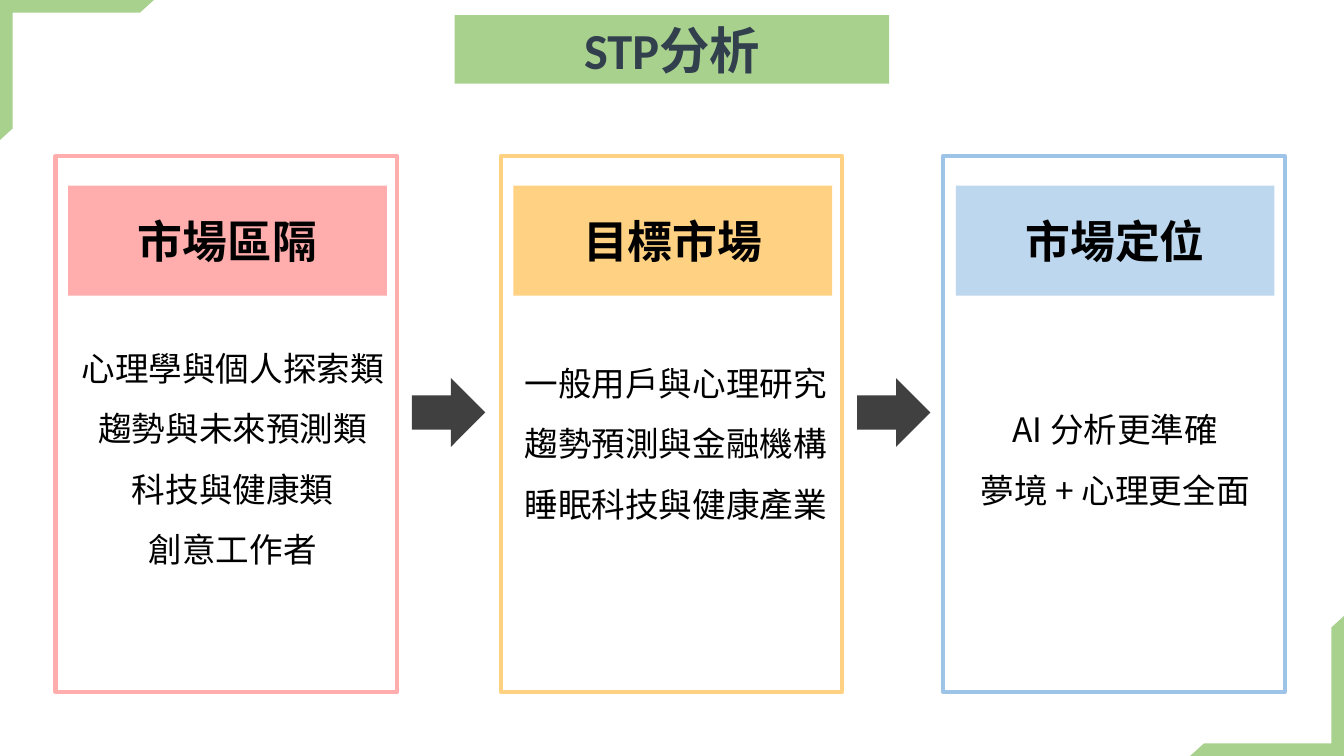
import pptx
import pptx.dml.color
import pptx.enum.shapes
import pptx.enum.text
import pptx.oxml
import pptx.oxml.ns
import pptx.util

Cm = pptx.util.Cm
SHAPE = pptx.enum.shapes.MSO_SHAPE
ANCHOR = pptx.enum.text.MSO_ANCHOR
AUTO_SIZE = pptx.enum.text.MSO_AUTO_SIZE

COLORS = {
    "green": "A9D18E",
    "slate": "32404E",
    "pink": "FFADAD",
    "orange": "FFD283",
    "blue": "9DC3E6",
    "pale_blue": "BDD7EE",
    "gray": "404040",
    "black": "000000",
}

PANELS = [
    (1.4, "pink", "pink", "市場區隔", (1.7, 8.13, 8.33, 6.22),
     ["心理學與個人探索類趨勢與未來預測類", "科技與健康類", "創意工作者"]),
    (12.62, "orange", "orange", "目標市場", (12.93, 8.51, 8.2, 4.7),
     ["一般用戶與心理研究", "趨勢預測與金融機構", "睡眠科技與健康產業"]),
    (23.77, "blue", "pale_blue", "市場定位", (24.18, 9.68, 7.85, 3.15),
     ["AI 分析更準確", "夢境 + 心理更全面"]),
]


class Deck:
    cjk = "Noto Sans CJK SC"

    def __init__(self, prs):
        self.s = prs.slides.add_slide(prs.slide_layouts[5])

    def color(self, name):
        return pptx.dml.color.RGBColor.from_string(COLORS[name])

    def paint(self, sp, name):
        sp.fill.solid()
        sp.fill.fore_color.rgb = self.color(name)

    def set_text(self, tf, lines, size, color="black", font=cjk, bold=False, spacing=None):
        tf.text = "\n".join(lines)
        tf.word_wrap = True
        for p in tf.paragraphs:
            p.alignment = pptx.enum.text.PP_ALIGN.CENTER
            p.line_spacing = spacing
            for r in p.runs:
                r.font.size = pptx.util.Pt(size)
                r.font.name = font
                r.font.bold = bold
                r.font.color.rgb = self.color(color)
                ea = pptx.oxml.parse_xml(
                    f'<a:ea {pptx.oxml.ns.nsdecls("a")} typeface="{self.cjk}"/>')
                r.font._element.find(pptx.oxml.ns.qn("a:latin")).addnext(ea)

    def title(self, box, text):
        sp = self.s.shapes.title
        sp.left, sp.top, sp.width, sp.height = map(Cm, box)
        sp._element.spPr.append(pptx.oxml.parse_xml(
            f'<a:prstGeom {pptx.oxml.ns.nsdecls("a")} prst="roundRect">'
            '<a:avLst><a:gd name="adj" fmla="val 31600"/></a:avLst></a:prstGeom>'))
        self.paint(sp, "green")
        self.set_text(sp.text_frame, [text], 36, "slate", "Calibri", True)
        sp.text_frame.auto_size = AUTO_SIZE.NONE
        sp.text_frame.vertical_anchor = ANCHOR.MIDDLE

    def shape(self, kind, box, fill=None, line=None):
        sp = self.s.shapes.add_shape(kind, *map(Cm, box))
        sp.shadow.inherit = False
        if fill:
            self.paint(sp, fill)
        else:
            sp.fill.background()
        if line:
            sp.line.color.rgb = self.color(line)
            sp.line.width = pptx.util.Pt(3)
        else:
            sp.line.fill.background()
        return sp

    def corner(self, left, top, rotation):
        sp = self.shape(SHAPE.HALF_FRAME, (left, top, 3.88, 3.53), "green")
        sp.adjustments[0] = sp.adjustments[1] = 0.09
        sp.rotation = rotation

    def header(self, box, fill, text):
        sp = self.shape(SHAPE.RECTANGLE, box, fill)
        self.set_text(sp.text_frame, [text], 32, bold=True)
        sp.text_frame.vertical_anchor = ANCHOR.MIDDLE

    def body(self, box, lines):
        tf = self.s.shapes.add_textbox(*map(Cm, box)).text_frame
        self.set_text(tf, lines, 24, spacing=1.5)
        tf.auto_size = AUTO_SIZE.SHAPE_TO_FIT_TEXT


def main():
    prs = pptx.Presentation()
    prs.slide_width, prs.slide_height = Cm(33.87), Cm(19.05)
    deck = Deck(prs)
    deck.title((11.46, 0.38, 10.95, 1.73), "STP分析")
    deck.corner(0, 0, 0)
    deck.corner(29.99, 15.52, 180)
    for left, border, fill, heading, box, lines in PANELS:
        deck.shape(SHAPE.RECTANGLE, (left, 3.94, 8.61, 13.49), line=border)
        deck.header((left + 0.32, 4.68, 8.03, 2.77), fill, heading)
        deck.body(box, lines)
    for panel in PANELS[:-1]:
        deck.shape(SHAPE.RIGHT_ARROW, (panel[0] + 8.98, 9.53, 1.85, 1.73), "gray")
    prs.save("out.pptx")


if __name__ == "__main__":
    main()
